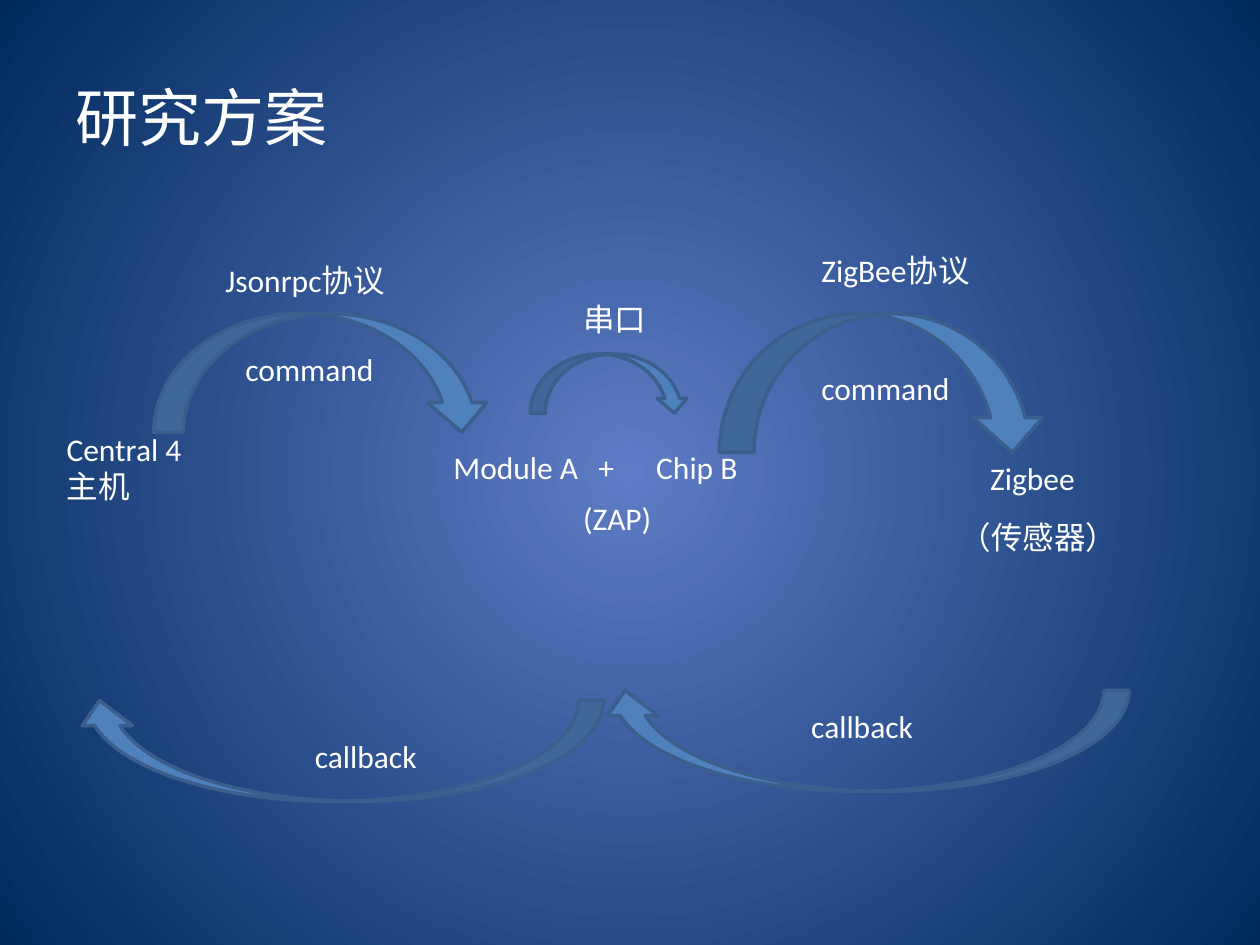
from pptx import Presentation
from pptx.dml.color import RGBColor
from pptx.enum.shapes import MSO_SHAPE
from pptx.enum.text import MSO_ANCHOR
from pptx.oxml import parse_xml
from pptx.oxml.ns import nsdecls, qn
from pptx.util import Inches, Pt

WHITE = RGBColor(0xFF, 0xFF, 0xFF)
ARROW_FILL = RGBColor(0x4F, 0x81, 0xBD)
ARROW_LINE = RGBColor(0x3A, 0x5F, 0x8C)
GLOW = RGBColor(0x5E, 0x7C, 0xC5)
NAVY = RGBColor(0x00, 0x29, 0x5C)


class Deck:
    """Holds the style and current slide; lengths are cells of a 100 by 75 grid."""

    def __init__(self, prs):
        self.font, self.size = "Calibri", 18
        self.cell = prs.slide_width / 100
        self.s = prs.slides.add_slide(prs.slide_layouts[6])

    def grid(self, *cells):
        return [round(c * self.cell) for c in cells]

    def background(self, center, edge):
        fill = self.s.background.fill
        fill.gradient()
        for stop, color, pos in zip(fill.gradient_stops, (center, edge), (0, 1)):
            stop.color.rgb, stop.position = color, pos
        lin = self.s.element.find(".//" + qn("a:lin"))
        lin.getparent().replace(lin, parse_xml(
            f'<a:path {nsdecls("a")} path="circle">'
            '<a:fillToRect l="50000" t="50000" r="50000" b="50000"/></a:path>'))

    def text(self, text, x, y, w, h=4, size=None, anchor=MSO_ANCHOR.TOP, tabs=()):
        tf = self.s.shapes.add_textbox(*self.grid(x, y, w, h)).text_frame
        tf.word_wrap, tf.vertical_anchor = True, anchor
        p = tf.paragraphs[0]
        if tabs:
            stops = "".join(f'<a:tab pos="{pos}" algn="l"/>' for pos in self.grid(*tabs))
            p._p.get_or_add_pPr().append(
                parse_xml(f'<a:tabLst {nsdecls("a")}>{stops}</a:tabLst>'))
        r = p.add_run()
        r.text = text
        r.font.name, r.font.size = self.font, Pt(size or self.size)
        r.font.color.rgb = WHITE

    def arrow(self, x, y, w, h, rotation=0, kind=MSO_SHAPE.CURVED_LEFT_ARROW):
        sp = self.s.shapes.add_shape(kind, *self.grid(x, y, w, h))
        sp.rotation = rotation
        sp.shadow.inherit = False
        sp.fill.solid()
        sp.fill.fore_color.rgb = ARROW_FILL
        sp.line.color.rgb, sp.line.width = ARROW_LINE, Pt(2)


def main():
    prs = Presentation()
    prs.slide_width, prs.slide_height = Inches(10), Inches(7.5)
    deck = Deck(prs)
    deck.background(GLOW, NAVY)
    deck.text("研究方案", 5, 3, 90, 12.5, size=36, anchor=MSO_ANCHOR.MIDDLE)

    deck.text("Central 4 主机", 4.3, 33.6, 13.4, 7.1)
    deck.text("(ZAP)", 45.3, 39.1, 7.5)
    deck.text("（传感器）", 75.2, 40.6, 18.1)

    for x, y, w, h, rotation in (
        (20.9, 16.2, 9.4, 26.8, 270),
        (64.6, 37.8, 8, 42, 90),
        (64.6, 17.4, 11, 26, 270),
        (22.9, 38.6, 8, 42, 90),
    ):
        deck.arrow(x, y, w, h, rotation)
    deck.arrow(42.1, 28.1, 12.6, 4.7, kind=MSO_SHAPE.CURVED_DOWN_ARROW)

    for label, x, y, w in (
        ("Jsonrpc协议", 16.9, 20.2, 21.3),
        ("ZigBee协议", 64.2, 19.4, 18.9),
        ("command", 18.5, 27.3, 15),
        ("command", 64.2, 28.8, 14.2),
        ("callback", 63.4, 55.6, 12.6),
        ("callback", 24, 58, 11.8),
        ("串口", 45.3, 23.3, 11.8),
        ("Zigbee", 77.6, 35.9, 20.5),
    ):
        deck.text(label, x, y, w)
    deck.text("Module A\t+\tChip B", 35, 35.1, 29.1, tabs=(11.5, 16.1))
    prs.save("out.pptx")


if __name__ == "__main__":
    main()
